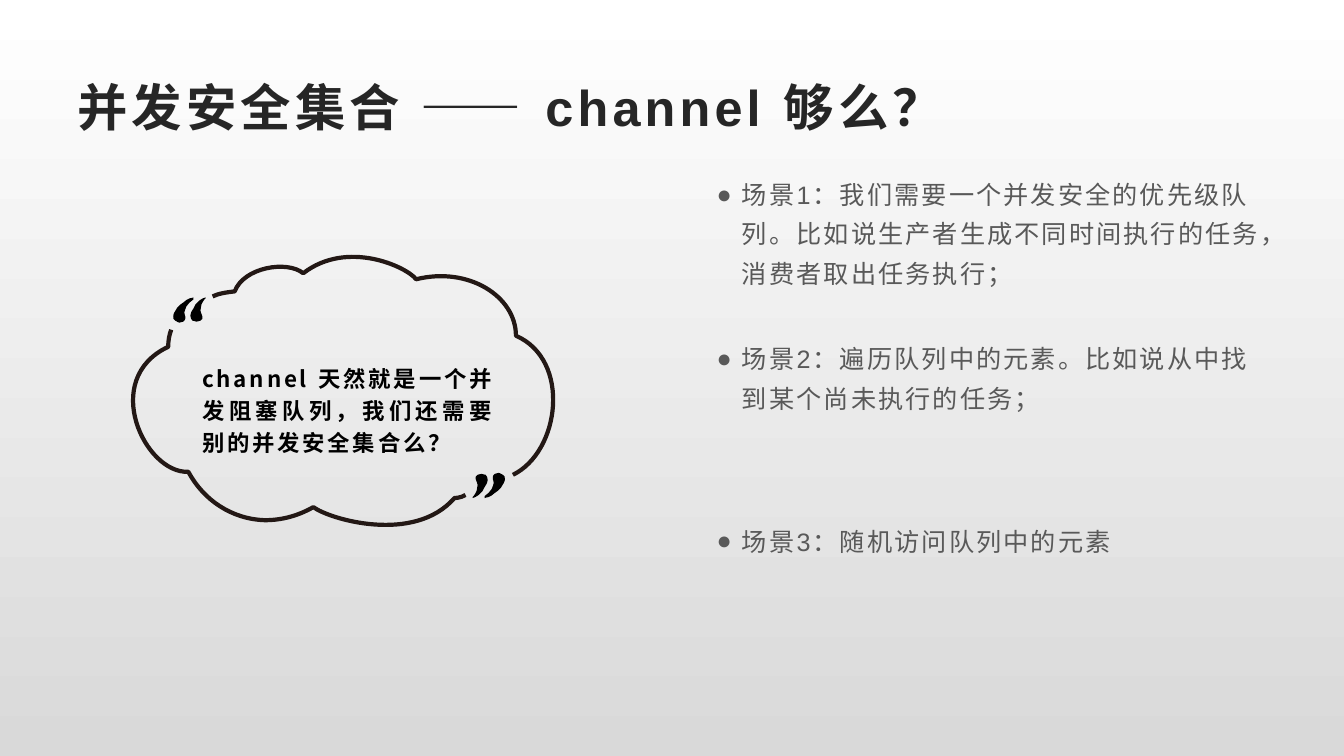
import collections

import lxml.etree
import pptx
import pptx.dml.color
import pptx.enum.text
import pptx.oxml.ns
import pptx.util

Cm = pptx.util.Cm
Pt = pptx.util.Pt
RGBColor = pptx.dml.color.RGBColor
PP_ALIGN = pptx.enum.text.PP_ALIGN
MSO_ANCHOR = pptx.enum.text.MSO_ANCHOR
MSO_AUTO_SIZE = pptx.enum.text.MSO_AUTO_SIZE
qn = pptx.oxml.ns.qn

WHITE = RGBColor(0xFF, 0xFF, 0xFF)
SILVER = RGBColor(0xD9, 0xD9, 0xD9)
TITLE_GREY = RGBColor(0x26, 0x26, 0x26)
BODY_GREY = RGBColor(0x59, 0x59, 0x59)
BLACK = RGBColor(0, 0, 0)
CLOUD_INK = RGBColor(0x23, 0x18, 0x15)

CJK_FONT = "Noto Sans CJK SC"
OUTLINE_UNIT = 2.54 / 100
BULLET_INDENT = Cm(0.64)

Box = collections.namedtuple("Box", "left top width height")

TITLE_BOX = Box(1.7, 1.7, 30.48, 1.96)
CLOUD_BOX = Box(3.35, 6.48, 10.75, 6.77)

SCENES = [
    (4.17, "场景1：我们需要一个并发安全的优先级队列。比如说生产者生成不同时间执行的任务，消费者取出任务执行；"),
    (8.31, "场景2：遍历队列中的元素。比如说从中找到某个尚未执行的任务；"),
    (12.9, "场景3：随机访问队列中的元素"),
]

CLOUD_TOP = [
    (298, 216), (345, 193, 356, 102, 301, 78), (301, 39, 254, 9, 202, 22),
    (193, 10, 134, -18, 90, 16), (74, 3, 31, 10, 22, 34),
    (14, 35, 6, 36, 0, 39),
]
CLOUD_BOTTOM = [
    (38, 0), (36, 5, 35, 11, 35, 17), (-33, 49, 12, 143, 55, 141),
    (70, 169, 98, 188, 131, 189), (149, 189, 165, 184, 179, 176),
    (195, 188, 279, 213, 319, 167), (319, 167, 325, 167, 330, 164),
]
CLOUD_ARCS = [
    (Box(79, 0, 338, 216), CLOUD_TOP),
    (Box(0, 72, 329, 194), CLOUD_BOTTOM),
]
OPENING_BOX = Box(40, 40, 32, 24)
CLOSING_BOX = Box(337, 215, 32, 24)
QUOTE_STROKES = [
    [(20, 0), (20, 1, 20, 1, 20, 2), (17, 4, 15, 6, 13, 9),
     (12, 12, 11, 14, 11, 15), (11, 17, 12, 18, 12, 19),
     (12, 20, 12, 20, 12, 21), (12, 22, 11, 23, 10, 24),
     (9, 24, 7, 25, 6, 25), (5, 25, 4, 24, 2, 23), (0, 22, 0, 21, 0, 19),
     (0, 18, 0, 17, 1, 15), (1, 14, 3, 13, 4, 10), (6, 8, 8, 6, 10, 5),
     (12, 3, 14, 2, 16, 1), (18, 1, 19, 0, 20, 0), (20, 0, 20, 0, 20, 0)],
    [(32, 1), (32, 1, 32, 1, 31, 2), (30, 3, 29, 5, 28, 7),
     (28, 9, 27, 11, 27, 13), (27, 14, 28, 16, 29, 19),
     (29, 19, 29, 20, 29, 20), (29, 21, 29, 22, 27, 23),
     (26, 23, 25, 24, 23, 24), (22, 24, 21, 23, 19, 23),
     (18, 22, 17, 20, 17, 18), (17, 16, 18, 14, 20, 11),
     (21, 8, 23, 5, 26, 3), (29, 1, 31, 0, 32, 0), (32, 0, 32, 0, 32, 1)],
]


def set_format(target, values):
    """Set each named attribute of the target."""
    for name, value in values.items():
        setattr(target, name, value)


def add_text(shapes, box, text, color, spacing, font, frame=None, paragraph=None):
    """Add one paragraph of text in a box and return the paragraph."""
    textbox = shapes.add_textbox(*map(Cm, box))
    set_format(textbox.text_frame, {"word_wrap": True, **(frame or {})})
    line = textbox.text_frame.paragraphs[0]
    set_format(line, paragraph or {})
    run = line.add_run()
    run.text = text
    set_format(run.font, font)
    run.font.color.rgb = color
    properties = run._r.get_or_add_rPr()
    properties.set("lang", "zh-CN")
    properties.set("spc", str(round(spacing * 100)))
    east_asian = lxml.etree.SubElement(properties, qn("a:ea"))
    east_asian.set("typeface", CJK_FONT)
    properties.find(qn("a:latin")).addnext(east_asian)
    return line


def add_title(shapes, box):
    """Add the slide title."""
    add_text(shapes, box, "并发安全集合 —— channel 够么？", TITLE_GREY, 3,
             {"name": "Arial", "size": Pt(36), "bold": True},
             {"vertical_anchor": MSO_ANCHOR.MIDDLE})


def add_scene(shapes, box, text):
    """Add one bulleted scene."""
    scene = add_text(shapes, box, text, BODY_GREY, 1.5,
                     {"name": "Arial", "size": Pt(18)},
                     paragraph={"line_spacing": 1.3, "space_after": Pt(10)})
    properties = scene._p.get_or_add_pPr()
    properties.set("marL", str(BULLET_INDENT))
    properties.set("indent", str(-BULLET_INDENT))
    lxml.etree.SubElement(properties, qn("a:buFont")).set("typeface", "Arial")
    lxml.etree.SubElement(properties, qn("a:buChar")).set("char", "●")


def rotate_half_turn(stroke, box):
    """Turn a stroke upside down within its box."""
    return [tuple((box.height if index % 2 else box.width) - value
                  for index, value in enumerate(node)) for node in stroke]


def add_outline(shapes, box, contours, closed):
    """Draw contours of cubic curves, measured from the corner of the box."""
    builder = shapes.build_freeform(*contours[0][0], scale=Cm(OUTLINE_UNIT))
    for index, contour in enumerate(contours):
        if index:
            builder.move_to(*contour[0])
        builder.add_line_segments([node[-2:] for node in contour[1:]], close=closed)
    outline = builder.convert_to_shape()
    set_format(outline, {name: Cm(value) for name, value in box._asdict().items()})
    outline.shadow.inherit = False

    outline_path = next(outline._element.iter(qn("a:path")))
    outline_path.set("w", str(Cm(box.width)))
    outline_path.set("h", str(Cm(box.height)))
    steps = [step for step in outline_path if step.tag != qn("a:close")]
    nodes = [node for contour in contours for node in contour]
    for step, node in zip(steps, nodes):
        kind = "a:moveTo" if len(node) == 2 else "a:cubicBezTo"
        curve = lxml.etree.Element(qn(kind))
        for x, y in zip(node[::2], node[1::2]):
            point = lxml.etree.SubElement(curve, qn("a:pt"))
            point.set("x", str(Cm(x * OUTLINE_UNIT)))
            point.set("y", str(Cm(y * OUTLINE_UNIT)))
        outline_path.replace(step, curve)
    return outline


def add_cloud(shapes, box):
    """Draw the thought cloud with its quotation marks and question."""
    cloud = shapes.add_group_shape().shapes

    def place(part):
        """Place a part of the cloud relative to its box."""
        left, top, width, height = (value * OUTLINE_UNIT for value in part)
        return Box(box.left + left, box.top + top, width, height)

    for part, arc in CLOUD_ARCS:
        edge = add_outline(cloud, place(part), [arc], False)
        edge.fill.background()
        set_format(edge.line, {"width": Pt(3)})
        edge.line.color.rgb = CLOUD_INK
    closing = [rotate_half_turn(stroke, CLOSING_BOX) for stroke in QUOTE_STROKES]
    for part, strokes in ((OPENING_BOX, QUOTE_STROKES), (CLOSING_BOX, closing)):
        mark = add_outline(cloud, place(part), strokes, True)
        mark.fill.solid()
        mark.fill.fore_color.rgb = BLACK
        mark.line.fill.background()
    add_text(cloud, Box(box.left + 1.5, box.top + 2.46, 7.87, 2.72),
             "channel 天然就是一个并发阻塞队列，我们还需要别的并发安全集合么？",
             BLACK, 2, {"name": CJK_FONT, "size": Pt(16), "bold": True},
             {"auto_size": MSO_AUTO_SIZE.SHAPE_TO_FIT_TEXT},
             {"alignment": PP_ALIGN.JUSTIFY, "line_spacing": 1.2})


def paint_background(slide):
    """Fill the background from white at the top to silver at the bottom."""
    fill = slide.background.fill
    fill.gradient()
    fill.gradient_angle = 270
    for stop, position, color in zip(fill.gradient_stops, (0, 1), (WHITE, SILVER)):
        stop.position = position
        stop.color.rgb = color


def main():
    """Build and save the slide."""
    deck = pptx.Presentation()
    set_format(deck, {"slide_width": Cm(33.87), "slide_height": Cm(19.05)})
    slide = deck.slides.add_slide(deck.slide_layouts[6])
    paint_background(slide)
    add_title(slide.shapes, TITLE_BOX)
    add_cloud(slide.shapes, CLOUD_BOX)
    for top, text in SCENES:
        add_scene(slide.shapes, Box(17.81, top, 14.38, 3.33), text)
    deck.save("out.pptx")


if __name__ == "__main__":
    main()
